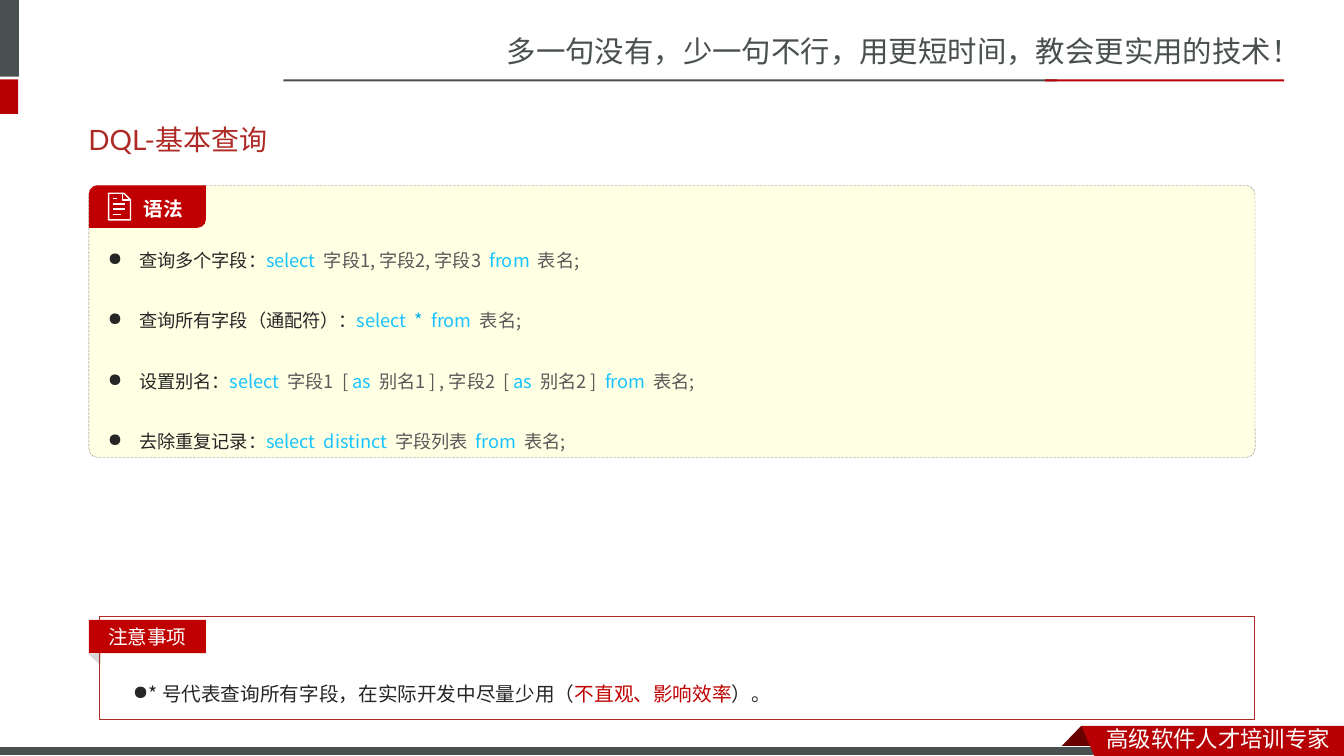
import pptx
import pptx.dml.color
import pptx.enum.dml
import pptx.enum.shapes
import pptx.enum.text
import pptx.oxml.ns
import pptx.util
from lxml import etree

Cm = pptx.util.Cm
Pt = pptx.util.Pt
RGB = pptx.dml.color.RGBColor
Kind = pptx.enum.shapes.MSO_SHAPE
Align = pptx.enum.text.PP_ALIGN
Anchor = pptx.enum.text.MSO_ANCHOR
qn = pptx.oxml.ns.qn

GREY = RGB(0x49, 0x50, 0x4F)
RED = RGB(0xB6, 0x00, 0x04)
DARK = RGB(0x68, 0x00, 0x00)
BRICK = RGB(0xAD, 0x2A, 0x26)
TAG = RGB(0xC0, 0x00, 0x00)
WHITE = RGB(0xFF, 0xFF, 0xFF)
CREAM = RGB(0xFF, 0xFF, 0xE4)
EDGE = RGB(0x80, 0x80, 0x80)
SHADE = RGB(0xD9, 0xD9, 0xD9)
INK = RGB(0x26, 0x26, 0x26)
CODE = RGB(0x59, 0x59, 0x59)
KEY = RGB(0x19, 0xC3, 0xFF)
STAR = RGB(0x00, 0xB0, 0xF0)

SANS = "Noto Sans CJK SC"
BODY = "Noto Sans CJK JP"


class Deck:
    def __init__(self):
        self.prs = pptx.Presentation()
        self.prs.slide_width, self.prs.slide_height = Cm(33.87), Cm(19.05)
        self.slide = self.prs.slides.add_slide(self.prs.slide_layouts[6])
        self.shapes = self.slide.shapes

    def paint(self, shape, fill=None, line=None, width=0.75):
        shape.shadow.inherit = False
        if fill is None:
            shape.fill.background()
        else:
            shape.fill.solid()
            shape.fill.fore_color.rgb = fill
        if line is None:
            shape.line.fill.background()
        else:
            shape.line.color.rgb = line
            shape.line.width = Pt(width)
        return shape

    def block(self, box, fill=None, line=None, width=0.75, kind=Kind.RECTANGLE):
        shape = self.shapes.add_shape(kind, *map(Cm, box))
        return self.paint(shape, fill, line, width)

    def outline(self, points, fill=None, line=None, closed=True):
        spots = [(Cm(x), Cm(y)) for x, y in points]
        form = self.shapes.build_freeform(*spots[0])
        form.add_line_segments(spots[1:], close=closed)
        return self.paint(form.convert_to_shape(), fill, line, 1)

    def stroke(self, left, right, y):
        line = self.shapes.add_connector(
            pptx.enum.shapes.MSO_CONNECTOR.STRAIGHT,
            Cm(left), Cm(y), Cm(right), Cm(y))
        line.line.color.rgb = WHITE
        line.line.width = Pt(1)
        etree.SubElement(line._element.spPr, qn("a:effectLst"))

    def label(self, box, text, size, font, color, anchor=Anchor.TOP):
        shape = self.shapes.add_textbox(*map(Cm, box))
        self.letter(shape, text, size, font, color, anchor)

    def letter(self, shape, text, size, font, color, anchor=Anchor.MIDDLE):
        """Set one line of styled text in a shape."""
        frame = shape.text_frame
        frame.word_wrap = True
        frame.vertical_anchor = anchor
        frame.text = text
        line = frame.paragraphs[0]
        line.alignment = Align.LEFT
        self.style(line.runs[0], size, font, color)
        return line

    def style(self, run, size, font, color):
        run.font.size = Pt(size)
        run.font.name = font
        run.font.color.rgb = color
        east = etree.SubElement(run._r.get_or_add_rPr(), qn("a:ea"))
        east.set("typeface", font)

    def bullets(self, shape, rows, size, left, hang, gaps):
        """Fill a shape with bulleted rows of (text, colour) parts."""
        frame = shape.text_frame
        frame.word_wrap = True
        frame.vertical_anchor = Anchor.TOP
        for i, (row, gap) in enumerate(zip(rows, gaps)):
            line = frame.add_paragraph() if i else frame.paragraphs[0]
            line.alignment = Align.LEFT
            line.line_spacing = 2.0
            line.space_before = Pt(gap)
            props = line._p.get_or_add_pPr()
            props.set("marL", str(Cm(left)))
            props.set("indent", str(Cm(-hang)))
            etree.SubElement(props, qn("a:buChar")).set("char", "●")
            for text, color in row:
                run = line.add_run()
                run.text = text
                self.style(run, size, BODY, color)


def frame(deck):
    """Draw the header and footer."""
    deck.label((12.52, 0.71, 21.35, 1.19),
               "多一句没有，少一句不行，用更短时间，教会更实用的技术！", 21, SANS, GREY)
    for box, fill in [((0, 0, 0.48, 1.93), GREY),
                      ((0, 2, 0.46, 0.87), RED),
                      ((7.14, 2, 19.5, 0.05), GREY),
                      ((26.34, 2, 6.02, 0.05), RED)]:
        deck.block(box, fill)
    deck.outline([(27.25, 18.29), (27.81, 18.87), (26.69, 18.87)], DARK)
    deck.block((0, 18.82, 27.92, 0.23), GREY, WHITE)
    deck.outline([(27.25, 18.29), (33.87, 18.29),
                  (33.87, 19.05), (27.58, 19.05)], RED)
    deck.label((27.64, 18.16, 6.23, 0.89), "高级软件人才培训专家", 16, SANS, WHITE)


def notes(deck):
    """Draw the box of points to note."""
    text = deck.shapes.add_textbox(*map(Cm, (3.1, 16.46, 27.36, 1.3)))
    row = [("* 号代表查询所有字段，在实际开发中尽量少用（", INK),
           ("不直观、影响效率", TAG), ("）。", INK)]
    deck.bullets(text, [row], 14, 0.15, 0.97, [0])
    fold = deck.block((2.26, 16.43, 0.41, 0.23), SHADE,
                      kind=Kind.ISOSCELES_TRIANGLE)
    fold.rotation = 44.2
    deck.block((2.51, 15.54, 29.11, 2.59), line=BRICK)
    tag = deck.block((2.24, 15.62, 2.95, 0.84), TAG)
    deck.letter(tag, "注意事项", 14, "Calibri", WHITE).alignment = Align.CENTER


def syntax(deck):
    """Draw the panel of query forms."""
    panel = deck.block((2.24, 4.67, 29.39, 6.86), CREAM, EDGE, 0.25,
                       Kind.ROUNDED_RECTANGLE)
    panel.adjustments[0] = 0.034
    panel.line.dash_style = pptx.enum.dml.MSO_LINE.LONG_DASH
    body = panel.text_frame
    body.margin_left, body.margin_top = Cm(0.41), Cm(0.99)
    body.margin_right, body.margin_bottom = Cm(0.2), Cm(0.13)
    pick, tail = ("select  ", KEY), [("from  ", KEY), ("表名;", CODE)]
    alias = ("as  ", KEY)
    rows = [
        [("查询多个字段：", INK), pick, ("字段1, 字段2, 字段3  ", CODE)],
        [("查询所有字段（通配符）：", INK), pick, ("*  ", STAR)],
        [("设置别名：", INK), pick, ("字段1  [ ", CODE), alias,
         ("别名1 ] , 字段2  [ ", CODE), alias, ("别名2 ]  ", CODE)],
        [("去除重复记录：", INK), ("select  distinct  ", KEY),
         ("字段列表  ", CODE)],
    ]
    deck.bullets(panel, [row + tail for row in rows], 13, 0.79, 0.79,
                 [18, 12, 12, 12])

    tab = deck.block((2.24, 4.67, 2.95, 1.07), TAG,
                     kind=Kind.ROUND_2_DIAG_RECTANGLE)
    tab.adjustments[0] = 0.2
    tab.adjustments[1] = 0
    head = tab.text_frame
    head.margin_left, head.margin_top = Cm(1.32), 0
    head.margin_right, head.margin_bottom = Cm(0.1), Cm(0.2)
    line = deck.letter(tab, "语法", 14, BODY, WHITE)
    line.line_spacing = 1.5
    line.runs[0].font.bold = True

    deck.outline([(2.74, 4.87), (3.12, 4.87), (3.29, 5.04),
                  (3.29, 5.54), (2.74, 5.54)], line=WHITE)
    deck.outline([(3.09, 4.87), (3.09, 5.04), (3.29, 5.04)],
                 line=WHITE, closed=False)
    for right, y in [(2.95, 5), (3.16, 5.14), (3.16, 5.27), (3.06, 5.4)]:
        deck.stroke(2.84, right, y)


def main():
    deck = Deck()
    frame(deck)
    deck.label((1.98, 2.79, 29.72, 1.45), "DQL-基本查询", 20, "Lato", BRICK,
               Anchor.MIDDLE)
    notes(deck)
    syntax(deck)
    deck.prs.save("out.pptx")


if __name__ == "__main__":
    main()
